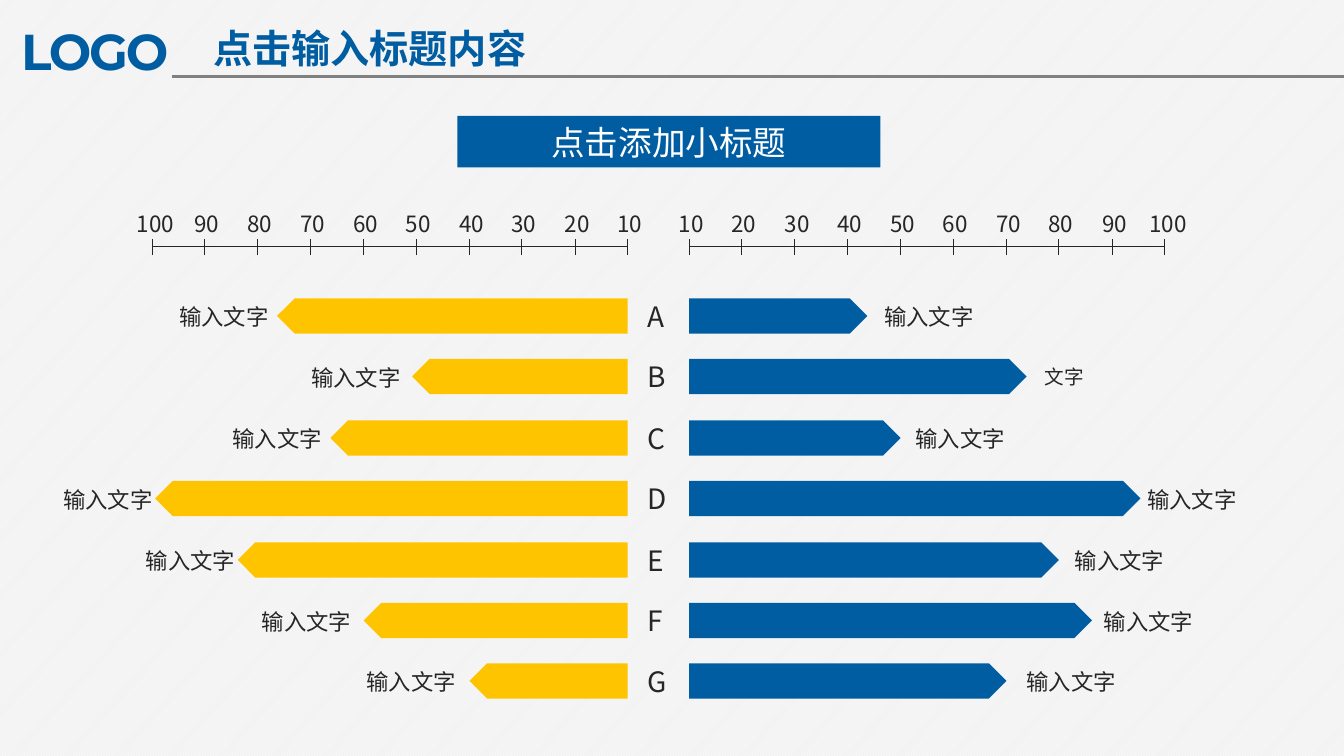
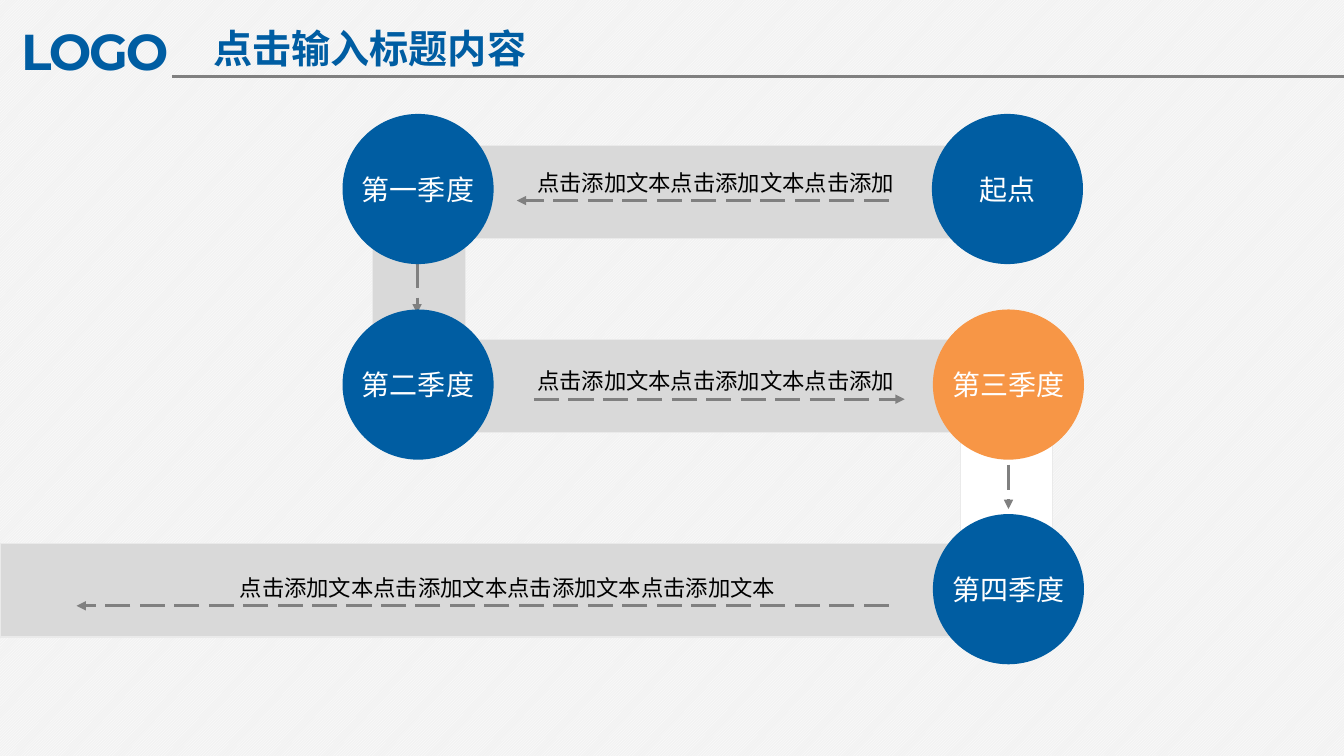
from dataclasses import dataclass
from typing import NamedTuple, Optional

from lxml import etree
from pptx import Presentation
from pptx import util as u
from pptx.dml.color import RGBColor
from pptx.enum import dml, shapes, text
from pptx.oxml import ns
from pptx.shapes import autoshape, connector, shapetree
from pptx.slide import Slide

PX = 9144  # EMU in one px, 100 px to the inch
SLIDE_W, SLIDE_H = 1334, 750


@dataclass(frozen=True)
class Theme:
    blue: str = "005DA2"
    yellow: str = "FFC400"
    orange: str = "F79646"
    ink: str = "262626"
    black: str = "000000"
    white: str = "FFFFFF"
    rule: str = "808080"
    band: str = "D9D9D9"
    band_edge: str = "EAEAEA"
    paper: str = "F2F2F2"
    cjk: str = "Noto Sans CJK SC"
    logo_font: str = "Montserrat"
    circle_font: str = "Calibri"
    logo_size: int = 36
    title_size: int = 28
    subtitle_size: int = 24
    name_size: int = 20
    label_size: int = 16
    small_size: int = 14


T = Theme()


class Box(NamedTuple):
    left: int
    top: int
    width: int
    height: int


class Style(NamedTuple):
    size: int
    color: str
    font: str = T.cjk
    bold: bool = False
    centred: bool = False
    spacing: Optional[float] = None


class Label(NamedTuple):
    left: int
    words: str = "输入文字"
    small: bool = False


class Row(NamedTuple):
    name: str
    left_bar: int
    left_label: Label
    right_bar: int
    right_label: Label


class Line(NamedTuple):
    x1: int
    y1: int
    x2: int
    y2: int


class Stretch(NamedTuple):
    band: Box
    arrow: Line
    fill: str = T.band


class Stop(NamedTuple):
    name: str
    left: int
    top: int
    fill: str = T.blue


class Caption(NamedTuple):
    box: Box
    words: str


LABEL = Style(T.label_size, T.ink)
SMALL_LABEL = Style(T.small_size, T.ink)
ROW_NAME = Style(T.name_size, T.ink)
TITLE = Style(T.title_size, T.blue, bold=True, centred=True)
LOGO = Style(T.logo_size, T.blue, T.logo_font, bold=True)
SUBTITLE = Style(T.subtitle_size, T.white, centred=True)
STOP_NAME = Style(T.name_size, T.white, T.circle_font, centred=True)
CAPTION = Style(T.label_size, T.black, centred=True, spacing=1.5)

# Butterfly chart
LEFT_AXIS, RIGHT_AXIS, AXIS_LENGTH, AXIS_Y = 623, 684, 472, 245
TICKS, TICK_HALF = 10, 8
FIRST_ROW, ROW_PITCH, BAR_H, LABEL_H = 296, 60.4, 35, 37
ROWS = (
    Row("A", 348, Label(168), 177, Label(868)),
    Row("B", 214, Label(299), 335, Label(1027, "文字", small=True)),
    Row("C", 295, Label(221), 210, Label(899)),
    Row("D", 469, Label(53), 448, Label(1129)),
    Row("E", 387, Label(135), 367, Label(1057)),
    Row("F", 262, Label(250), 400, Label(1086)),
    Row("G", 157, Label(354), 315, Label(1009)),
)

# Quarter route, from back to front
STOP_W, STOP_H = 150, 149
STRETCHES = (
    Stretch(Box(0, 539, 1045, 93), Line(882, 601, 76, 601)),
    Stretch(Box(405, 337, 640, 92), Line(530, 396, 898, 396)),
    Stretch(Box(953, 382, 92, 254), Line(1001, 461, 1001, 505), T.white),
    Stretch(Box(457, 144, 588, 93), Line(882, 199, 513, 199)),
    Stretch(Box(370, 144, 92, 286), Line(414, 261, 414, 311)),
)
STOPS = (
    Stop("起点", 925, 113),
    Stop("第一季度", 340, 113),
    Stop("第二季度", 340, 307),
    Stop("第三季度", 926, 307, T.orange),
    Stop("第四季度", 926, 510),
)
CAPTIONS = (
    Caption(Box(516, 149, 389, 50), "点击添加文本点击添加文本点击添加"),
    Caption(Box(516, 346, 389, 50), "点击添加文本点击添加文本点击添加"),
    Caption(Box(127, 551, 754, 50), "点击添加文本点击添加文本点击添加文本点击添加文本"),
)


def px(value: int) -> u.Emu:
    return u.Emu(value * PX)


def rgb(color: str) -> RGBColor:
    return RGBColor.from_string(color)


def write(shape: autoshape.Shape, words: str, style: Style, wrap: bool = True,
          middle: bool = False) -> None:
    frame = shape.text_frame
    frame.text = words
    frame.word_wrap = wrap
    frame.vertical_anchor = text.MSO_ANCHOR.MIDDLE if middle else text.MSO_ANCHOR.TOP
    paragraph = frame.paragraphs[0]
    paragraph.alignment = text.PP_ALIGN.CENTER if style.centred else text.PP_ALIGN.LEFT
    if style.spacing:
        paragraph.line_spacing = style.spacing
    run = paragraph.runs[0]
    run.font.size = u.Pt(style.size)
    run.font.bold = style.bold
    run.font.color.rgb = rgb(style.color)
    run.font.name = style.font
    # Chinese glyphs take their own typeface
    east_asian = etree.SubElement(run.font._element, ns.qn("a:ea"))
    east_asian.set("typeface", T.cjk)


def add_text(slide: Slide, box: Box, words: str, style: Style, wrap: bool = True,
             middle: bool = False) -> autoshape.Shape:
    shape = slide.shapes.add_textbox(*map(px, box))
    write(shape, words, style, wrap, middle)
    return shape


def add_block(slide: Slide, kind: shapes.MSO_SHAPE, box: Box, fill: str,
              edge: Optional[str] = None) -> autoshape.Shape:
    shape = slide.shapes.add_shape(kind, *map(px, box))
    shape.shadow.inherit = False
    shape.fill.solid()
    shape.fill.fore_color.rgb = rgb(fill)
    if edge:
        shape.line.color.rgb = rgb(edge)
        shape.line.width = u.Pt(0.75)
    else:
        shape.line.fill.background()
    return shape


def add_line(tree: shapetree._BaseGroupShapes, line: Line, color: str,
             weight: float) -> connector.Connector:
    stroke = tree.add_connector(shapes.MSO_CONNECTOR.STRAIGHT, *map(px, line))
    stroke.line.color.rgb = rgb(color)
    stroke.line.width = u.Pt(weight)
    etree.SubElement(stroke._element.spPr, ns.qn("a:effectLst"))
    return stroke


def add_arrow(slide: Slide, line: Line) -> None:
    arrow = add_line(slide.shapes, line, T.rule, 2.25)
    arrow.line.dash_style = dml.MSO_LINE.LONG_DASH
    head = etree.SubElement(arrow.line._get_or_add_ln(), ns.qn("a:tailEnd"))
    head.set("type", "triangle")


def add_page(deck: Presentation) -> Slide:
    """A blank slide with the shared logo, rule and title."""
    slide = deck.slides.add_slide(deck.slide_layouts[6])
    logo = add_text(slide, Box(8, 13, 186, 74), "LOGO", LOGO)
    frame = logo.text_frame
    frame.margin_left = frame.margin_right = px(13)
    frame.margin_top = frame.margin_bottom = px(7)
    frame.paragraphs[0].runs[0].font._element.set("spc", "-150")
    add_line(slide.shapes, Line(171, 76, SLIDE_W, 76), T.rule, 2)
    add_text(slide, Box(187, 19, 360, 57), "点击输入标题内容", TITLE)
    return slide


def add_axis(slide: Slide, start: int, direction: int) -> None:
    """A scale from 10 to 100 that runs away from the middle."""
    axis = slide.shapes.add_group_shape().shapes
    end = start + direction * AXIS_LENGTH
    add_line(axis, Line(start, AXIS_Y, end, AXIS_Y), T.ink, 0.75)
    for i in range(TICKS):
        x = start + direction * round(i * AXIS_LENGTH / (TICKS - 1))
        add_line(axis, Line(x, AXIS_Y + TICK_HALF, x, AXIS_Y - TICK_HALF), T.ink, 0.75)
        value = str(10 * (i + 1))
        offset, width = (25, 60) if len(value) == 3 else (20, 46)
        add_text(slide, Box(x - offset, 204, width, LABEL_H), value, LABEL, wrap=False)


def add_row(slide: Slide, row: Row, top: int) -> None:
    pentagon = shapes.MSO_SHAPE.PENTAGON
    left_bar = add_block(slide, pentagon, Box(LEFT_AXIS - row.left_bar, top, row.left_bar, BAR_H),
                         T.yellow)
    left_bar._element.spPr.xfrm.set("flipH", "1")
    add_block(slide, pentagon, Box(RIGHT_AXIS, top, row.right_bar, BAR_H), T.blue)
    for label in (row.left_label, row.right_label):
        box = Box(label.left, top, 110, LABEL_H)
        if label.small:
            box = Box(label.left, top + 1, 59, 34)
        add_text(slide, box, label.words, SMALL_LABEL if label.small else LABEL, wrap=False)
    add_text(slide, Box(633, top - 4, 42, 44), row.name, ROW_NAME)


def build_butterfly(deck: Presentation) -> None:
    slide = add_page(deck)
    add_axis(slide, LEFT_AXIS, -1)
    add_axis(slide, RIGHT_AXIS, 1)
    for i, row in enumerate(ROWS):
        add_row(slide, row, round(FIRST_ROW + i * ROW_PITCH))
    subtitle = add_block(slide, shapes.MSO_SHAPE.RECTANGLE, Box(454, 115, 420, 51), T.blue)
    write(subtitle, "点击添加小标题", SUBTITLE, middle=True)


def build_route(deck: Presentation) -> None:
    slide = add_page(deck)
    for stretch in STRETCHES:
        add_block(slide, shapes.MSO_SHAPE.RECTANGLE, stretch.band, stretch.fill, T.band_edge)
        add_arrow(slide, stretch.arrow)
    for stop in STOPS:
        circle = add_block(slide, shapes.MSO_SHAPE.OVAL,
                           Box(stop.left, stop.top, STOP_W, STOP_H), stop.fill)
        write(circle, stop.name, STOP_NAME, wrap=False, middle=True)
    for caption in CAPTIONS:
        add_text(slide, caption.box, caption.words, CAPTION, middle=True)


def main() -> None:
    deck = Presentation()
    deck.slide_width, deck.slide_height = px(SLIDE_W), px(SLIDE_H)
    # Striped paper behind every slide
    paper = deck.slide_master.background.fill
    paper.patterned()
    paper.pattern = dml.MSO_PATTERN.LIGHT_UPWARD_DIAGONAL
    paper.fore_color.rgb = rgb(T.white)
    paper.back_color.rgb = rgb(T.paper)
    build_butterfly(deck)
    build_route(deck)
    deck.save("out.pptx")


if __name__ == "__main__":
    main()
